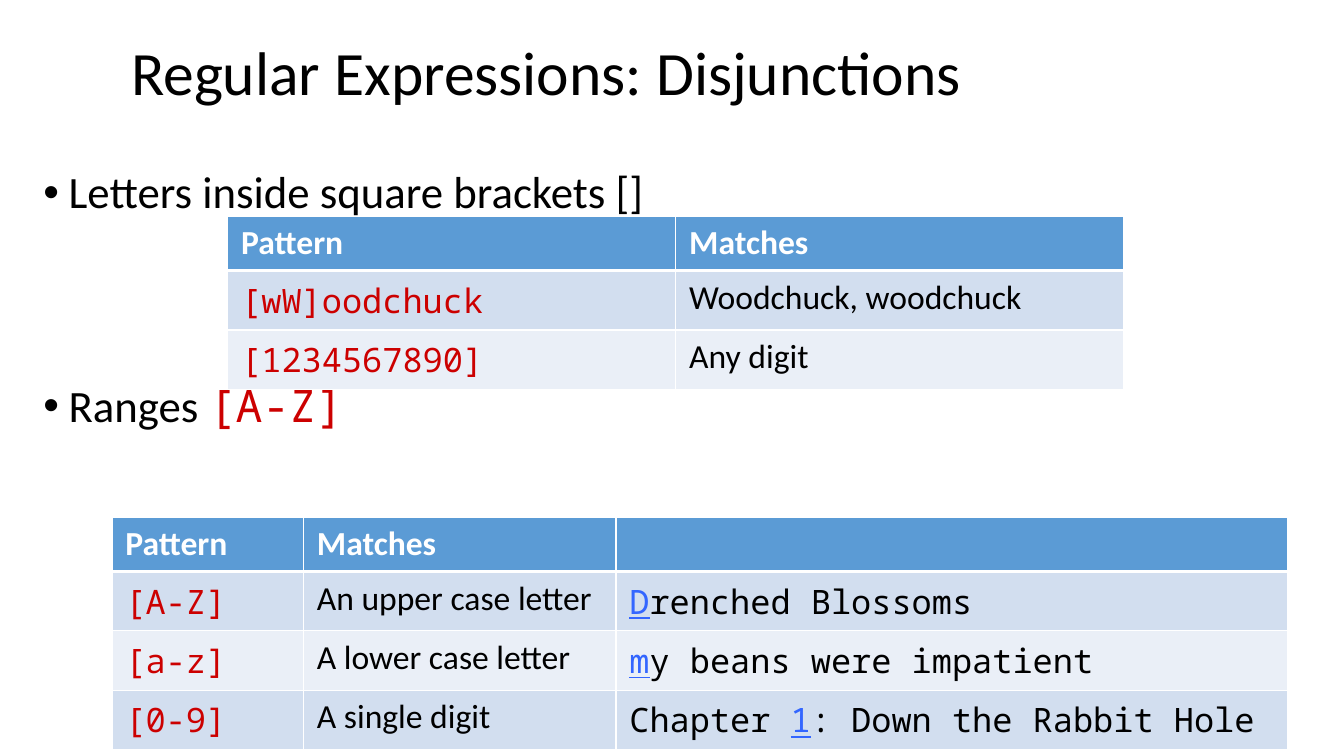
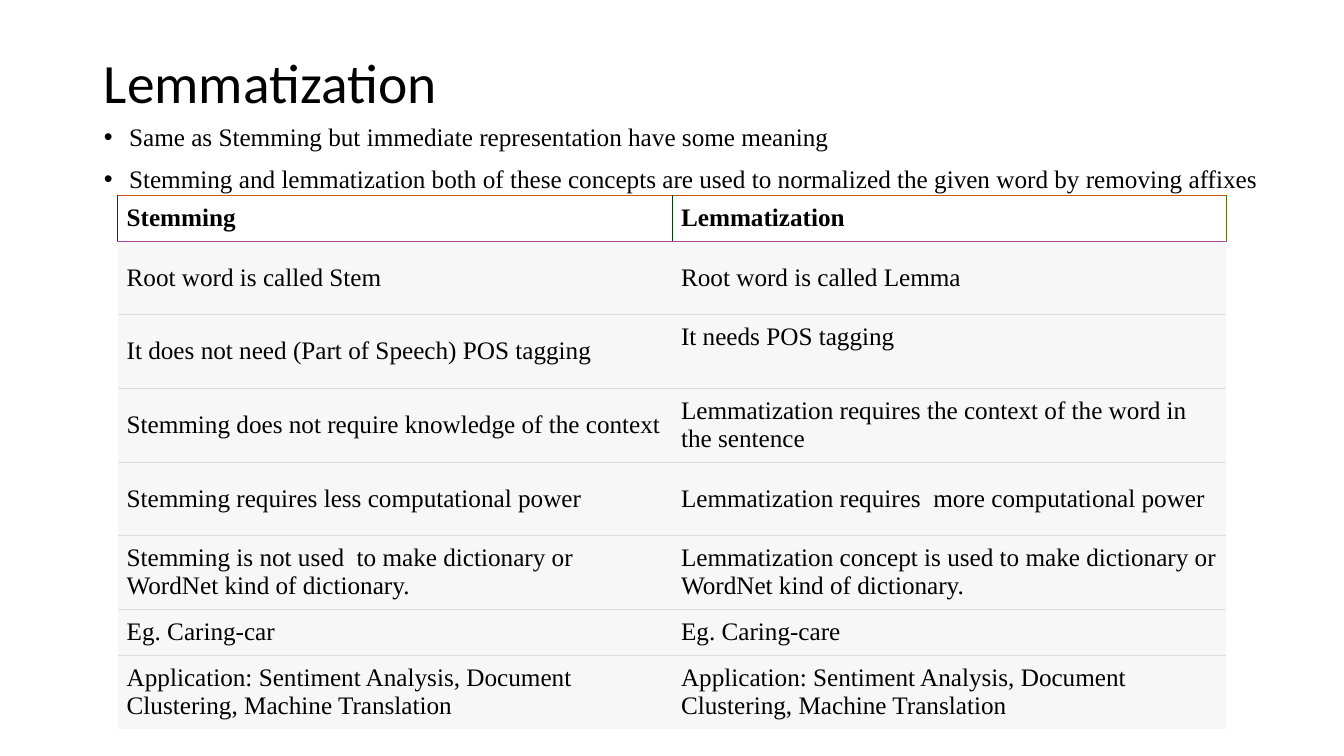
from dataclasses import dataclass
from typing import NamedTuple, Optional, Sequence, Union

from pptx import Presentation
from pptx.dml.color import RGBColor as RGB
from pptx.enum.text import MSO_ANCHOR as Anchor, MSO_AUTO_SIZE as AutoSize, PP_ALIGN as Align
from pptx.oxml import parse_xml
from pptx.oxml.ns import nsdecls
from pptx.util import Pt


@dataclass(frozen=True)
class Theme:
    sans: str = "Calibri"
    serif: str = "Times New Roman"
    mono: str = "Noto Sans Mono"
    black: str = "000000"
    white: str = "FFFFFF"
    pattern: str = "CC0000"
    match: str = "3366FF"
    header: str = "5B9BD5"
    band_dark: str = "D2DEEF"
    band_light: str = "EAEFF7"
    grey: str = "F7F7F7"
    rule: str = "DDDDDD"
    head_side: str = "00420C"
    head_end: str = "50760C"
    head_top: str = "D0560C"
    head_base: str = "B046A7"
    title: float = 44
    title_small: float = 39.6
    body: float = 32
    cell: float = 24
    small: float = 18


T = Theme()


class Box(NamedTuple):
    left: float
    top: float
    width: float
    height: float


class Edge(NamedTuple):
    color: str
    width: float


class Run(NamedTuple):
    text: str
    font: Optional[str] = None
    color: str = T.black
    underline: bool = False


Text = Union[str, Sequence[Run]]


class Item(NamedTuple):
    text: Text
    before: float = 0


@dataclass(frozen=True)
class TableStyle:
    font: str
    size: float
    head_color: str
    head_fill: str
    bands: tuple[str, ...]
    inset_x: float
    inset_y: float
    anchor: Anchor
    head_side: Edge
    head_end: Edge
    head_top: Edge
    head_base: Edge
    side: Optional[Edge]
    rule: Edge
    last: Optional[Edge]


WHITE_LINE = Edge(T.white, 1)
BANDED = TableStyle(
    T.sans, T.cell, T.white, T.header, (T.band_dark, T.band_light), 9.6, 4.8, Anchor.TOP,
    head_side=WHITE_LINE, head_end=WHITE_LINE, head_top=WHITE_LINE,
    head_base=Edge(T.white, 3), side=WHITE_LINE, rule=WHITE_LINE, last=WHITE_LINE,
)
RULED = TableStyle(
    T.serif, T.small, T.black, T.white, (T.grey,), 6.5, 6.5, Anchor.MIDDLE,
    head_side=Edge(T.head_side, 0.75), head_end=Edge(T.head_end, 0.75),
    head_top=Edge(T.head_top, 0.75), head_base=Edge(T.head_base, 0.75),
    side=None, rule=Edge(T.rule, 0.75), last=None,
)


def pattern(text: str) -> list[Run]:
    return [Run(text, T.mono, T.pattern)]


def example(before: str, hit: str, after: str) -> list[Run]:
    runs = [Run(before, T.mono), Run(hit, T.mono, T.match, True), Run(after, T.mono)]
    return [run for run in runs if run.text]


def write(p, text: Text, *, font: str, size: float, color: str = T.black,
          bold: bool = False) -> None:
    for run in [Run(text, color=color)] if isinstance(text, str) else text:
        r = p.add_run()
        r.text = run.text
        r.font.name = run.font or font
        r.font.size = Pt(size)
        r.font.color.rgb = RGB.from_string(run.color)
        r.font.bold = bold
        r.font.underline = run.underline


def place(sp, box: Box, anchor: Anchor):
    sp.left, sp.top, sp.width, sp.height = map(Pt, box)
    tf = sp.text_frame
    tf.word_wrap = True
    tf.auto_size = AutoSize.NONE
    tf.vertical_anchor = anchor
    return tf


def add_slide(prs, title: str, title_box: Box, title_size: float,
              items: Sequence[Item], body_box: Box, font: str, size: float):
    s = prs.slides.add_slide(prs.slide_layouts[1])
    p = place(s.shapes.title, title_box, Anchor.MIDDLE).paragraphs[0]
    p.alignment = Align.LEFT
    p.line_spacing = 0.9
    write(p, title, font=T.sans, size=title_size)

    tf = place(s.placeholders[1], body_box, Anchor.TOP)
    for i, item in enumerate(items):
        p = tf.add_paragraph() if i else tf.paragraphs[0]
        pPr = p._p.get_or_add_pPr()
        pPr.set("marL", str(Pt(18)))
        pPr.set("indent", str(Pt(-18)))
        p.line_spacing = 0.9
        p.space_before = Pt(item.before)
        write(p, item.text, font=font, size=size)
    return s


def set_edges(cell, left: Optional[Edge], right: Optional[Edge],
              top: Optional[Edge], bottom: Optional[Edge]) -> None:
    tcPr = cell._tc.get_or_add_tcPr()
    for i, (tag, edge) in enumerate(zip("LRTB", (left, right, top, bottom))):
        if edge:
            width = f' w="{Pt(edge.width)}"'
            paint = f'<a:solidFill><a:srgbClr val="{edge.color}"/></a:solidFill>'
        else:
            width, paint = "", "<a:noFill/>"
        tcPr.insert(i, parse_xml(f'<a:ln{tag} {nsdecls("a")}{width}>{paint}</a:ln{tag}>'))


def add_table(s, left: float, top: float, widths: Sequence[float], heights: Sequence[float],
              rows: Sequence[Sequence[Text]], style: TableStyle):
    frame = s.shapes.add_table(len(rows), len(widths), Pt(left), Pt(top),
                               Pt(sum(widths)), Pt(sum(heights)))
    table = frame.table
    for column, width in zip(table.columns, widths):
        column.width = Pt(width)
    for row, height in zip(table.rows, heights):
        row.height = Pt(height)
    for i, row in enumerate(rows):
        head = i == 0
        for j, text in enumerate(row):
            cell = table.cell(i, j)
            cell.margin_left = cell.margin_right = Pt(style.inset_x)
            cell.margin_top = cell.margin_bottom = Pt(style.inset_y)
            cell.vertical_anchor = style.anchor
            fill = style.head_fill if head else style.bands[(i - 1) % len(style.bands)]
            cell.fill.solid()
            cell.fill.fore_color.rgb = RGB.from_string(fill)
            if head:
                end = style.head_end if j == len(row) - 1 else style.head_side
                set_edges(cell, style.head_side, end, style.head_top, style.head_base)
            else:
                above = style.head_base if i == 1 else style.rule
                below = style.last if i == len(rows) - 1 else style.rule
                set_edges(cell, style.side, style.side, above, below)
            if text:
                write(cell.text_frame.paragraphs[0], text, font=style.font, size=style.size,
                      color=style.head_color if head else T.black, bold=head)
    return table


def disjunctions(prs) -> None:
    items = [
        Item("Letters inside square brackets []"),
        Item([Run("Ranges "), *pattern("[A-Z]")], before=118),
    ]
    s = add_slide(prs, "Regular Expressions: Disjunctions", Box(86.4, 22.3, 792, 63.4), T.title,
                  items, Box(23.8, 118, 817, 400), T.sans, T.body)
    bracket_rows = [
        ("Pattern", "Matches"),
        (pattern("[wW]oodchuck"), "Woodchuck, woodchuck"),
        (pattern("[1234567890]"), "Any digit"),
    ]
    add_table(s, 162.7, 154.4, [320, 320], [38.4] * 3, bracket_rows, BANDED)
    range_rows = [
        ("Pattern", "Matches", ""),
        (pattern("[A-Z]"), "An upper case letter", example("", "D", "renched Blossoms")),
        (pattern("[a-z]"), "A lower case letter", example("", "m", "y beans were impatient")),
        (pattern("[0-9]"), "A single digit",
         example("Chapter ", "1", ": Down the Rabbit Hole")),
    ]
    add_table(s, 80, 369.3, [136.8, 223.2, 480], [38.4] * 4, range_rows, BANDED)


def lemmatization(prs) -> None:
    items = [
        Item("Same as Stemming but immediate representation have some meaning"),
        Item("Stemming and lemmatization both of these concepts are used to normalized "
             "the given word by removing affixes", before=10),
    ]
    s = add_slide(prs, "Lemmatization", Box(67, 36, 792, 49.7), T.title_small,
                  items, Box(67, 85.7, 866, 62.6), T.serif, T.small)
    application = "Application: Sentiment Analysis, Document Clustering, Machine Translation"
    rows = [
        ("Stemming", "Lemmatization"),
        ("Root word is called Stem", "Root word is called Lemma"),
        ("It does not need (Part of Speech) POS tagging", "It needs POS tagging"),
        ("Stemming does not require knowledge of the context",
         "Lemmatization requires the context of the word in the sentence"),
        ("Stemming requires less computational power",
         "Lemmatization requires  more computational power"),
        ("Stemming is not used  to make dictionary or WordNet kind of dictionary.",
         "Lemmatization concept is used to make dictionary or WordNet kind of dictionary."),
        ("Eg. Caring-car", "Eg. Caring-care"),
        (application, application),
    ]
    heights = [32.4, 52, 53, 52, 52, 22.3, 22.3, 22.3]
    table = add_table(s, 84, 139.4, [396, 396], heights, rows, RULED)
    table.cell(2, 1).vertical_anchor = Anchor.TOP


def main() -> None:
    prs = Presentation()
    prs.slide_width, prs.slide_height = Pt(960), Pt(540)
    disjunctions(prs)
    lemmatization(prs)
    prs.save("out.pptx")


if __name__ == "__main__":
    main()
